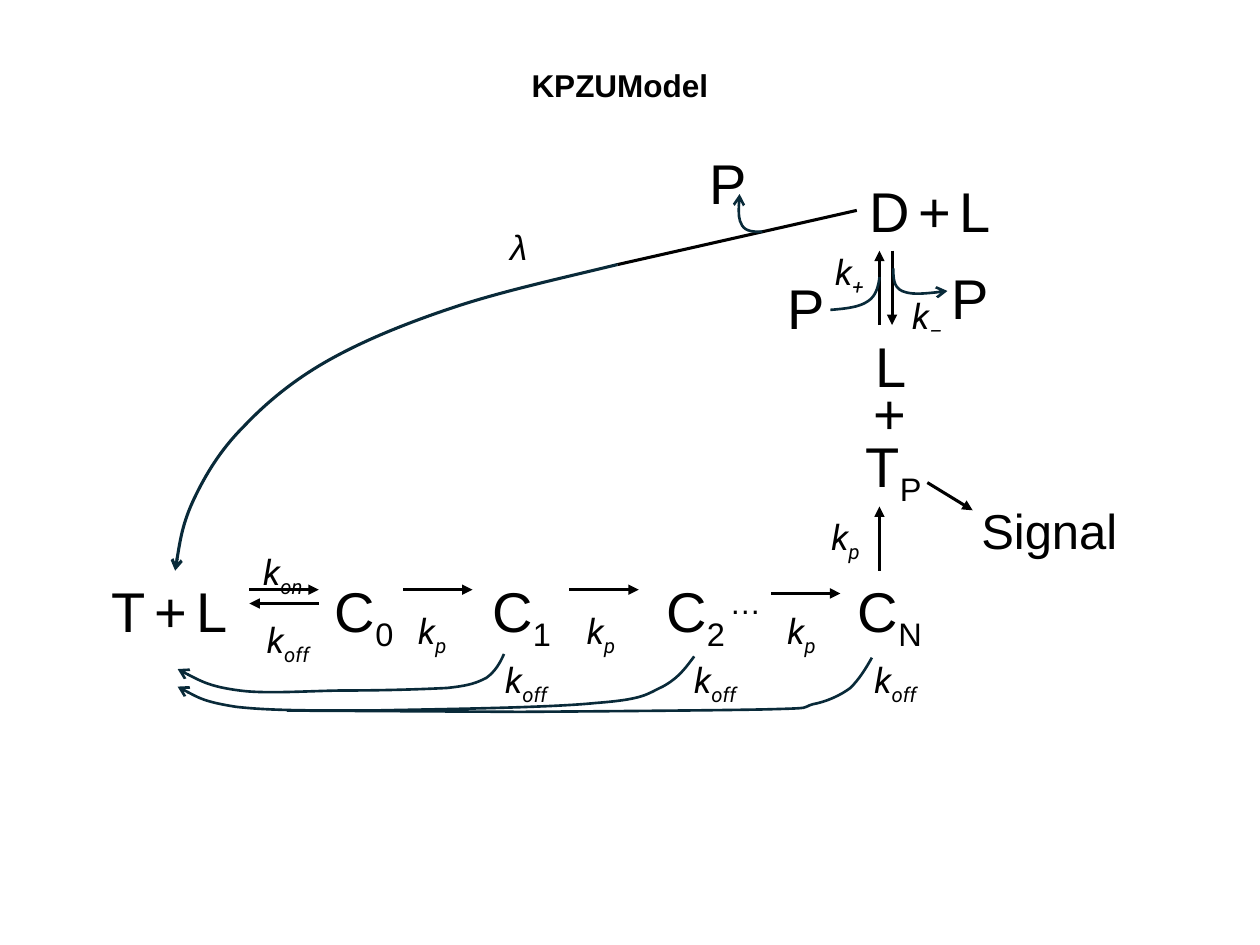
from dataclasses import dataclass

from lxml import etree
from pptx import Presentation, util as u
from pptx.dml.color import RGBColor
from pptx.enum import shapes, text
from pptx.oxml.ns import qn

PX = 9144  # EMU per px, 100 px to the inch


@dataclass(frozen=True)
class Theme:
    ink = RGBColor(0x00, 0x00, 0x00)
    curve = RGBColor(0x09, 0x2A, 0x39)
    font = "Arial"
    rate_font = "Roboto"
    species = 32
    signal = 28
    rate = 20
    small = 18
    arrow = 1.75
    thin = 1.5


@dataclass(frozen=True)
class Box:
    left: int
    top: int

    def emu(self, x, y):
        return (self.left + x) * PX, (self.top + y) * PX


def format_text(frame, lines, size=Theme.species, font=Theme.font, bold=None, italic=None,
                align=None, spacing=None, space_size=None):
    """Fill a frame; an underscore in a line makes what follows a subscript."""
    frame.word_wrap = False
    for number, line in enumerate(lines):
        paragraph = frame.add_paragraph() if number else frame.paragraphs[0]
        paragraph.alignment = align
        paragraph.line_spacing = spacing
        base, _, subscript = line.partition("_")
        parts = [base]
        if space_size:
            head, *others = base.split(" ")
            parts = [head] + [part for other in others for part in (" ", other)]
        for part in parts + [subscript] * bool(subscript):
            run = paragraph.add_run()
            run.text = part
            run.font.name = font
            run.font.size = u.Pt(space_size if space_size and part == " " else size)
            run.font.bold, run.font.italic = bold, italic
            run.font.color.rgb = Theme.ink
        if subscript:
            run.font._element.set("baseline", "-25000")


def write(slide, box, x, y, width, height, *lines, **style):
    label = slide.shapes.add_textbox(*box.emu(x, y), width * PX, height * PX)
    format_text(label.text_frame, lines, **style)
    label.text_frame.auto_size = text.MSO_AUTO_SIZE.SHAPE_TO_FIT_TEXT


def write_species(slide, box, x, y, name, width=69, **style):
    write(slide, box, x, y, width, 64, name, **style)


def write_rate(slide, box, x, y, name, width=45, font=Theme.rate_font):
    write(slide, box, x, y, width, 44, name, size=Theme.rate, font=font, italic=True)


def style_line(line, color, width, head):
    line.color.rgb = color
    line.width = u.Pt(width)
    if head:
        etree.SubElement(line._get_or_add_ln(), qn("a:tailEnd"), type=head)


def draw_arrow(slide, box, start, end, head="triangle"):
    arrow = slide.shapes.add_connector(
        shapes.MSO_CONNECTOR.STRAIGHT, *box.emu(*start), *box.emu(*end))
    style_line(arrow.line, Theme.ink, Theme.arrow, head)
    etree.SubElement(arrow._element.spPr, qn("a:effectLst"))


def draw_curve(slide, box, points, head="arrow", width=Theme.thin):
    """Draw cubic curves: a start, then two control points and an end for each."""
    builder = slide.shapes.build_freeform(*points[0], scale=PX)
    builder.add_line_segments(points[1:], close=False)
    curve = builder.convert_to_shape(*box.emu(0, 0))
    outline = curve._element.spPr.find(".//" + qn("a:path"))
    steps = outline.findall(qn("a:lnTo"))
    for first in range(0, len(steps), 3):
        bezier = etree.SubElement(outline, qn("a:cubicBezTo"))
        for step in steps[first:first + 3]:
            bezier.append(step[0])
            outline.remove(step)
    curve.fill.background()
    curve.shadow.inherit = False
    style_line(curve.line, Theme.curve, width, head)


def place_title(slide, box):
    title = slide.shapes.title
    title.left, title.top = box.emu(0, 0)
    title.width, title.height = 162 * PX, 40 * PX
    format_text(title.text_frame, ["KPZUModel"], size=Theme.small, bold=True,
                align=text.PP_ALIGN.CENTER)


def draw_recovery(slide, box):
    """The λ step from D back to T, which releases P."""
    draw_arrow(slide, box, (541, 54), (351, 97), head=None)
    draw_curve(slide, box, [(466, 71), (460, 71), (453, 71), (450, 66),
                            (447, 61), (447, 51), (448, 41)])
    draw_curve(slide, box, [
        (351, 97), (306, 108), (260, 118), (221, 131), (182, 144), (148, 158), (120, 174),
        (92, 190), (71, 208), (54, 226), (36, 244), (24, 264), (15, 283),
        (6, 302), (3, 321), (0, 340)], width=Theme.arrow)
    write_species(slide, box, 414, 0, "P", width=50)
    write_rate(slide, box, 256, 61, "λ", width=36, font=Theme.font)


def draw_exchange(slide, box):
    """D + L above its reversible step, with P going in and out."""
    write_species(slide, box, 65, 0, "D + L", width=118, space_size=Theme.small)
    draw_arrow(slide, box, (93, 64), (93, 123))
    draw_arrow(slide, box, (83, 123), (83, 64))
    draw_curve(slide, box, [(94, 78), (94, 85), (94, 93), (101, 96),
                            (108, 99), (122, 98), (137, 96)])
    draw_curve(slide, box, [(44, 111), (56, 110), (67, 109), (74, 104),
                            (80, 100), (82, 93), (83, 85)], head=None)
    for x, y in ((0, 77), (130, 69)):
        write_species(slide, box, x, y, "P", width=50)
    write_rate(slide, box, 38, 59, "k_+")
    write_rate(slide, box, 99, 94, "k_–")


def draw_signalling(slide, box):
    write(slide, box, 23, 0, 79, 124, "L ", "+ ", "T_P ",
          align=text.PP_ALIGN.CENTER, spacing=0.7)
    draw_arrow(slide, box, (86, 110), (122, 132))
    write(slide, box, 119, 119, 130, 57, "Signal", size=Theme.signal)
    draw_arrow(slide, box, (48, 180), (48, 129))
    write_rate(slide, box, 0, 131, "k_p")


def draw_chain(slide, box):
    """Binding, then the proofreading steps from C0 to CN."""
    write_species(slide, box, 0, 21, "T + L", width=113, space_size=Theme.small)
    for index, x in (("0", 177), ("1", 302), ("2", 440), ("N", 592)):
        write_species(slide, box, x, 21, f"C_{index}", width=74 if index == "N" else 69)
    write(slide, box, 490, 26, 45, 40, "…", size=Theme.small, align=text.PP_ALIGN.CENTER)
    draw_arrow(slide, box, (174, 47), (119, 47))
    for x, y in ((119, 36), (241, 36), (373, 36), (533, 39)):
        draw_arrow(slide, box, (x, y), (x + 55, y))
    write_rate(slide, box, 120, 0, "k_on", width=55)
    write_rate(slide, box, 123, 54, "k_off", width=55)
    for x in (243, 377, 536):
        write_rate(slide, box, x, 47, "k_p")


def draw_dissociation(slide, box):
    """The return paths from C1, C2 and CN to T + L."""
    draw_curve(slide, box, [
        (259, 3), (256, 10), (252, 17), (245, 22), (237, 26), (232, 28), (214, 30),
        (195, 31), (163, 32), (135, 32), (108, 32), (71, 35), (49, 32),
        (26, 29), (13, 22), (0, 15)])
    draw_curve(slide, box, [
        (410, 5), (404, 13), (398, 22), (385, 29), (372, 35), (371, 39), (332, 42),
        (293, 46), (199, 47), (152, 48), (104, 48), (72, 48), (46, 45),
        (21, 41), (11, 35), (0, 29)])
    draw_curve(slide, box, [
        (551, 6), (546, 15), (541, 23), (534, 30), (526, 36), (515, 41), (504, 43),
        (494, 46), (507, 46), (468, 47), (429, 48), (272, 49), (272, 49),
        (272, 49), (87, 48), (87, 48)], head=None)
    for x in (250, 400, 543):
        write_rate(slide, box, x, 2, "k_off", width=55)


def main():
    deck = Presentation()
    deck.slide_width, deck.slide_height = 1000 * PX, 750 * PX
    slide = deck.slides.add_slide(deck.slide_layouts.get_by_name("Title Only"))
    place_title(slide, Box(411, 47))
    draw_recovery(slide, Box(139, 113))
    draw_exchange(slide, Box(615, 135))
    draw_signalling(slide, Box(650, 273))
    draw_chain(slide, Box(79, 432))
    draw_dissociation(slide, Box(141, 516))
    deck.save("out.pptx")


if __name__ == "__main__":
    main()
